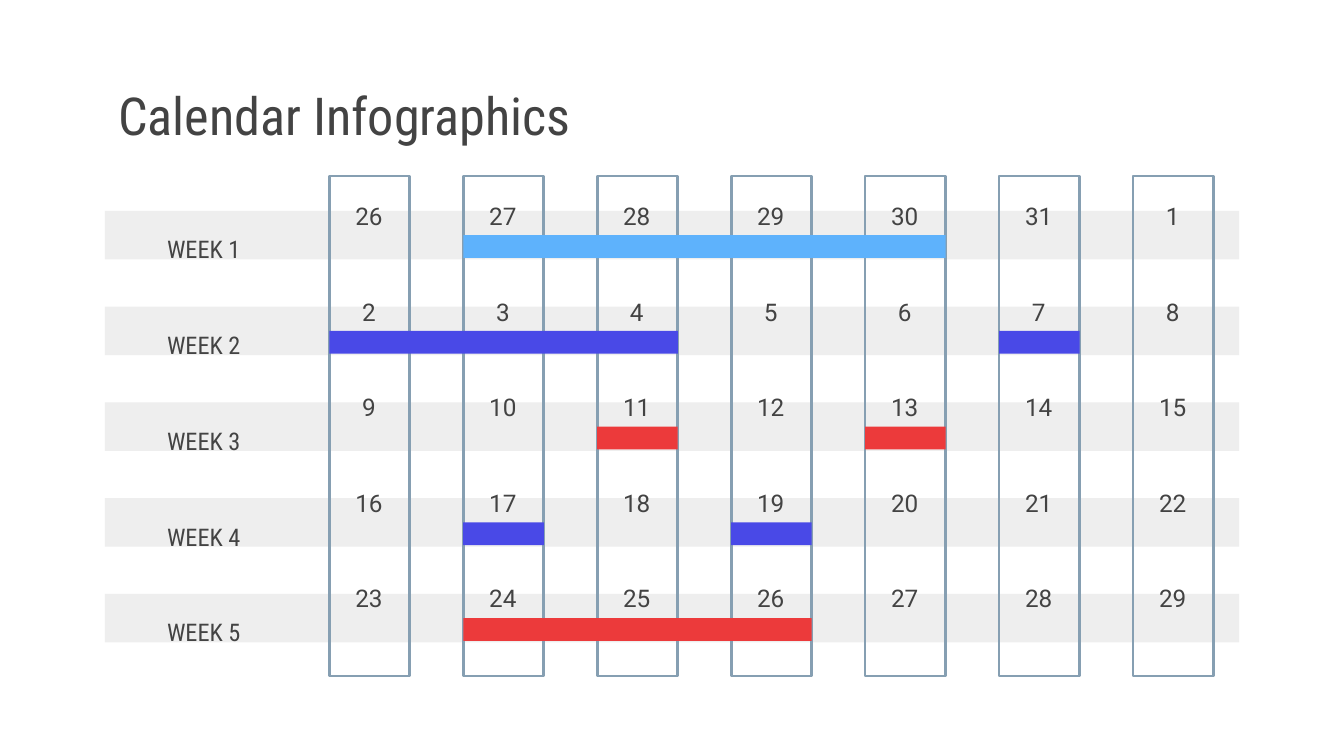
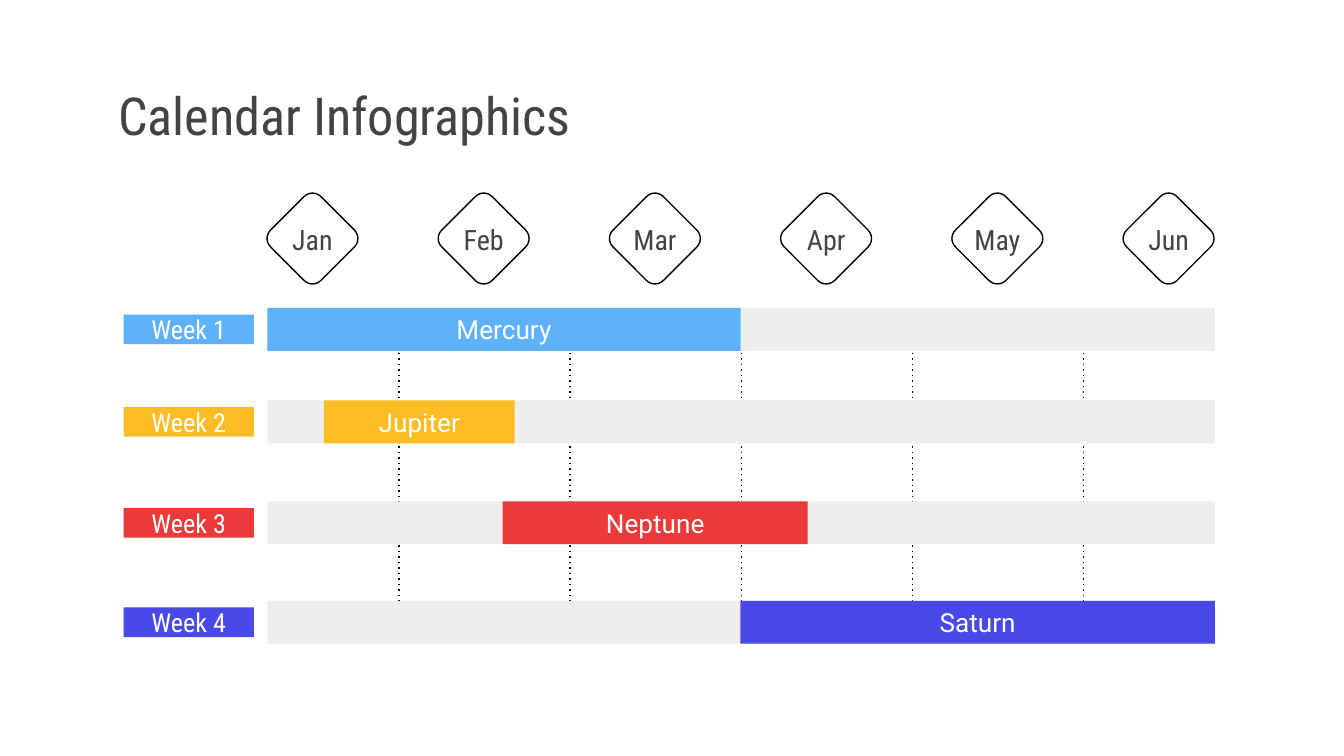
from lxml import etree
from pptx import Presentation
from pptx import util as u
from pptx.dml.color import RGBColor
from pptx.enum import shapes, text
from pptx.oxml.ns import qn

COLOURS = {
    "ink": "434343", "white": "FFFFFF", "black": "000000", "band": "EEEEEE",
    "frame": "869FB2", "sky": "5EB2FC", "amber": "FCBD24",
    "red": "EC3A3B", "indigo": "4949E7",
}
BODY, CONDENSED = "Roboto", "Roboto Condensed"
TITLE_BOX = (0.78, 0.59, 8.45, 0.53)
MIDDLE, TOP = text.MSO_ANCHOR.MIDDLE, text.MSO_ANCHOR.TOP
CENTER, LEFT = text.PP_ALIGN.CENTER, text.PP_ALIGN.LEFT
RECT, ROUNDED = shapes.MSO_SHAPE.RECTANGLE, shapes.MSO_SHAPE.ROUNDED_RECTANGLE

DAY_COUNT, WEEK_COUNT = 7, 5
EVENTS = [
    (3, 1, 1, "indigo"), (3, 3, 3, "indigo"), (4, 1, 3, "red"),
    (2, 2, 2, "red"), (2, 4, 4, "red"), (1, 0, 2, "indigo"),
    (1, 5, 5, "indigo"), (0, 1, 4, "sky"),
]
MONTHS = ["Jan", "Feb", "Mar", "Apr", "May", "Jun"]
TASKS = [
    ("Week 1", "Mercury", "sky", 2.29, 0, 3.52),
    ("Week 2", "Jupiter", "amber", 2.98, 0.42, 1.42),
    ("Week 3", "Neptune", "red", 3.73, 1.75, 2.27),
    ("Week 4", "Saturn", "indigo", 4.47, 3.52, 3.53),
]


def rgb(name):
    """Return the named colour."""
    return RGBColor.from_string(COLOURS[name])


def inches(box):
    """Convert a box of numbers to lengths."""
    return [u.Inches(value) for value in box]


def apply(target, formats):
    """Set each attribute named in formats on target."""
    for name, value in formats.items():
        setattr(target, name, value)


def write(holder, wording, size, font, colour="ink", anchor=MIDDLE,
          align=CENTER, inset_top=0.1, after=0):
    """Put one styled paragraph into a shape or text box."""
    frame = holder.text_frame
    edge = u.Inches(0.1)
    apply(frame, {"word_wrap": True, "vertical_anchor": anchor,
                  "margin_left": edge, "margin_right": edge,
                  "margin_top": u.Inches(inset_top), "margin_bottom": edge})
    paragraph = frame.paragraphs[0]
    apply(paragraph, {"text": wording, "alignment": align,
                      "space_after": u.Pt(after)})
    face = paragraph.runs[0].font
    apply(face, {"size": u.Pt(size), "name": font})
    face.color.rgb = rgb(colour)


def add_label(slide, box, wording, size, font, **style):
    """Add a text box holding one line."""
    write(slide.shapes.add_textbox(*inches(box)), wording, size, font, **style)


def add_block(slide, box, fill=None, line=None, weight=0.75, kind=RECT):
    """Add a flat shape with an optional fill and outline."""
    block = slide.shapes.add_shape(kind, *inches(box))
    block.shadow.inherit = False
    if fill:
        block.fill.solid()
        block.fill.fore_color.rgb = rgb(fill)
    else:
        block.fill.background()
    if line:
        block.line.color.rgb = rgb(line)
        block.line.width = u.Pt(weight)
    else:
        block.line.fill.background()
    return block


def add_titled_slide(deck, title):
    """Add a blank slide with the shared title."""
    slide = deck.slides.add_slide(deck.slide_layouts[6])
    add_label(slide, TITLE_BOX, title, 28, CONDENSED, align=LEFT)
    return slide


def add_week_bands(slide, box, pitch):
    """Draw the grey week bands downwards from the first band's box."""
    left, top, width, height = box
    for week in range(WEEK_COUNT):
        y = top + week * pitch
        add_block(slide, (left, y, width, height), "band")
        add_label(slide, (left + 0.19, y, 1.09, height), f"WEEK {week + 1}",
                  13, CONDENSED, inset_top=0.31, after=16)


def add_day_columns(slide, box, column_width, pitch):
    """Draw the framed day columns with their dates across the box."""
    left, top, _, height = box
    for day in range(DAY_COUNT):
        x = left + day * pitch
        add_block(slide, (x, top, column_width, height),
                  line="frame", weight=1.5)
        for week in range(WEEK_COUNT):
            date = (25 + week * DAY_COUNT + day) % 31 + 1
            add_label(slide, (x + 0.01, top + 0.09 + week * 0.71, 0.57, 0.5),
                      str(date), 13, BODY, anchor=TOP, after=16)


def build_month_slide(deck):
    """Build the month grid with event bars."""
    slide = add_titled_slide(deck, "Calendar Infographics")
    bands, week_pitch = (0.78, 1.57, 8.44, 0.36), 2.85 / (WEEK_COUNT - 1)
    days, column_width = (2.45, 1.31, 6.58, 3.72), 0.6
    day_pitch = (days[2] - column_width) / (DAY_COUNT - 1)
    add_week_bands(slide, bands, week_pitch)
    add_day_columns(slide, days, column_width, day_pitch)
    for week, first, last, colour in EVENTS:
        add_block(slide, (days[0] + first * day_pitch,
                          bands[1] + 0.18 + week * week_pitch,
                          (last - first) * day_pitch + column_width, 0.17),
                  colour)


def add_month_guides(slide, box):
    """Spread the dotted lines between months over the box."""
    left, top, width, height = box
    gaps = len(MONTHS) - 2
    for guide in range(gaps + 1):
        x = left + guide * width / gaps
        divider = slide.shapes.add_connector(
            shapes.MSO_CONNECTOR.STRAIGHT, *inches((x, top, x, top + height)))
        divider.line.width = u.Pt(0.75)
        divider.line.color.rgb = rgb("black")
        properties = divider.element.spPr
        etree.SubElement(properties.find(qn("a:ln")), qn("a:prstDash"),
                         val="dot")
        etree.SubElement(properties, qn("a:effectLst"))


def add_month_markers(slide, box, size):
    """Spread the month diamonds over the box."""
    left, top, width, _ = box
    pitch = (width - size) / (len(MONTHS) - 1)
    for index, month in enumerate(MONTHS):
        x = left + index * pitch
        diamond = add_block(slide, (x, top, size, size),
                            line="black", kind=ROUNDED)
        diamond.rotation = 45
        diamond.adjustments[0] = 0.167
        add_label(slide, (x - 0.08, top + 0.16, 0.69, 0.22), month, 15,
                  CONDENSED)


def add_task_row(slide, box, week, task, colour, offset, length):
    """Draw a track with its week tag on the left and its task bar."""
    left, top, _, height = box
    add_block(slide, box, "band")
    tag = add_block(slide, (left - 1.07, top + 0.05, 0.97, 0.22), colour)
    write(tag, week, 14, CONDENSED, "white")
    bar = add_block(slide, (left + offset, top, length, height), colour)
    write(bar, task, 14, BODY, "white")


def build_timeline_slide(deck):
    """Build the half-year timeline with one task a week."""
    slide = add_titled_slide(deck, "Calendar Infographics")
    add_month_guides(slide, (2.97, 2.38, 5.09, 2.36))
    add_month_markers(slide, (2.06, 1.51, 6.9, 0.53), 0.53)
    for week, task, colour, top, offset, length in TASKS:
        add_task_row(slide, (1.99, top, 7.05, 0.32), week, task, colour,
                     offset, length)


def main():
    """Build both slides and save the deck."""
    deck = Presentation()
    width = u.Inches(10)
    apply(deck, {"slide_width": width, "slide_height": width * 9 // 16})
    build_month_slide(deck)
    build_timeline_slide(deck)
    deck.save("out.pptx")


if __name__ == "__main__":
    main()
